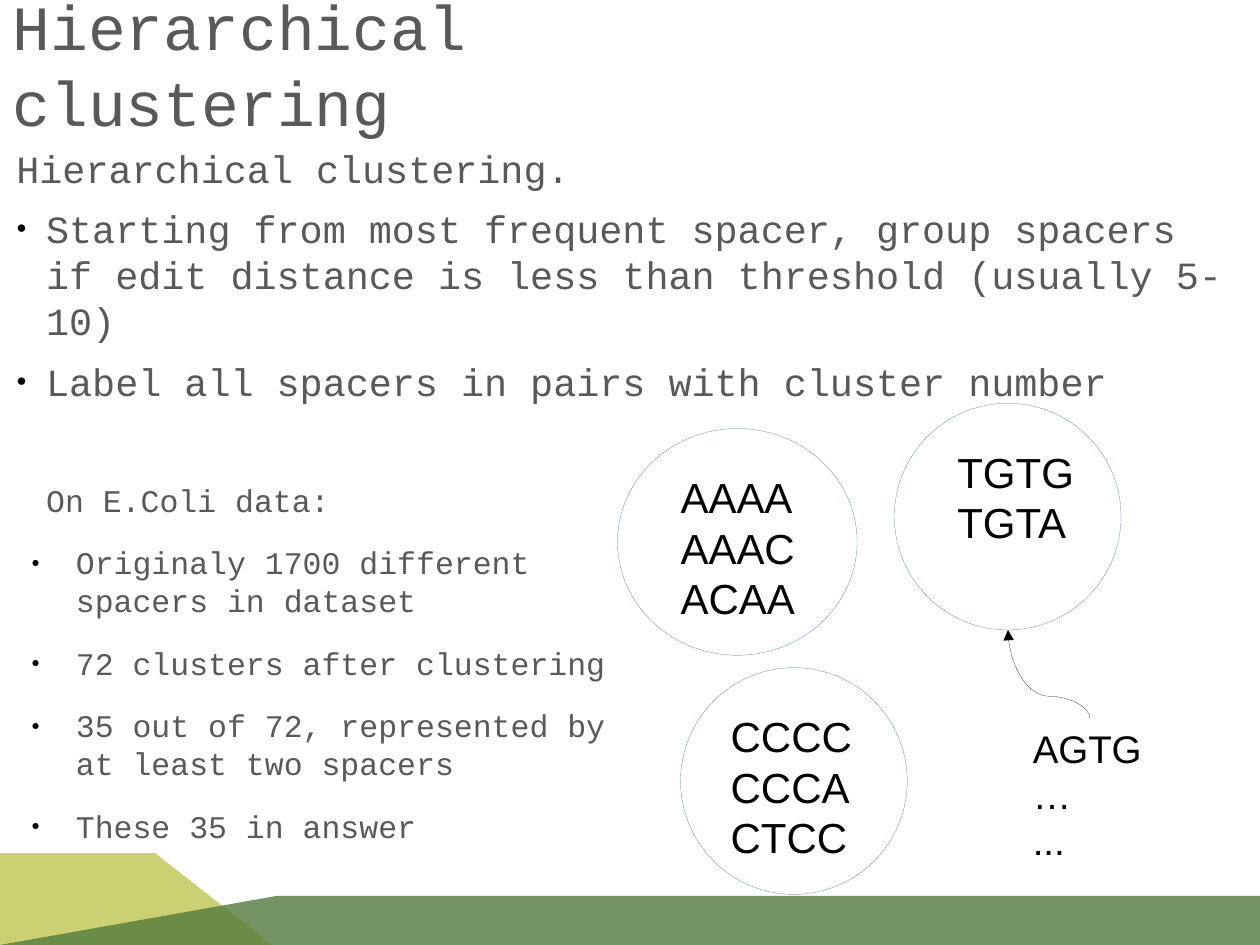
from lxml import etree
from pptx import Presentation
from pptx.dml.color import RGBColor as RGB
from pptx.enum.shapes import MSO_CONNECTOR as Link, MSO_SHAPE as Shape
from pptx.enum.text import MSO_ANCHOR as Anchor, MSO_AUTO_SIZE as Fit, PP_ALIGN as Align
from pptx.oxml.ns import qn
from pptx.util import Cm, Pt

WHITE = RGB(0xFF, 0xFF, 0xFF)
BLACK = RGB(0x00, 0x00, 0x00)
GRAY = RGB(0x59, 0x59, 0x59)
BLUE = RGB(0x34, 0x65, 0xA4)
LIME = RGB(0xCB, 0xD1, 0x73)
GREEN = RGB(0x52, 0x7B, 0x3D)
MONO, SANS = "Courier New", "Arial"
HAIR = Pt(0.1)

BODY = [
    ("Hierarchical clustering.", 22, 8, 0, 0),
    ("Starting from most frequent spacer, group spacers "
     "if edit distance is less than threshold (usually 5-10)", 22, 8, 0.6, 0.6),
    ("Label all spacers in pairs with cluster number", 22, 8, 0.6, 0.6),
    ("On E.Coli data:", 18, 44, 0.6, 0),
    ("Originaly 1700 different\nspacers in dataset", 18, 14.2, 1.2, 0.9),
    ("72 clusters after clustering", 18, 14.2, 1.2, 0.9),
    ("35 out of 72, represented by\nat least two spacers", 18, 14.2, 1.2, 0.9),
    ("These 35 in answer", 18, 14.2, 1.2, 0.9),
]
GROUPS = [
    ((12.45, 8.64, 4.83, 4.57), 1.02, ["AAAA", "AAAC", "ACAA"]),
    ((13.72, 13.46, 4.57, 4.57), 0.76, ["CCCC", "CCCA", "CTCC"]),
    ((18.03, 8.13, 4.57, 4.57), 1.02, ["TGTG", "TGTA"]),
]


def place(shape, box):
    shape.left, shape.top, shape.width, shape.height = map(Cm, box)


def frame(shape, anchor=Anchor.TOP):
    text = shape.text_frame
    text.word_wrap = True
    text.auto_size = Fit.NONE
    text.vertical_anchor = anchor
    text.margin_left = text.margin_right = Cm(0.25)
    text.margin_top = text.margin_bottom = Cm(0.13)
    return text


def write(para, text, size, font, color):
    para.alignment = Align.LEFT
    para.line_spacing = 1.0
    for num, line in enumerate(text.split("\n")):
        if num:
            para.add_line_break()
        run = para.add_run()
        run.text = line
        run.font.size = Pt(size)
        run.font.name = font
        run.font.color.rgb = color


def rows(text, items):
    for num, item in enumerate(items):
        yield (text.add_paragraph() if num else text.paragraphs[0]), item


def bullet(para, left, hang):
    props = para._p.get_or_add_pPr()
    props.set("marL", str(Cm(left)))
    props.set("indent", str(-Cm(hang)))
    if not hang:
        etree.SubElement(props, qn("a:buNone"))
        return
    tint = etree.SubElement(props, qn("a:buClr"))
    etree.SubElement(tint, qn("a:srgbClr"), val=str(BLACK))
    etree.SubElement(props, qn("a:buSzPct"), val="45000")
    etree.SubElement(props, qn("a:buFont"), typeface=SANS)
    etree.SubElement(props, qn("a:buChar"), char="●")


def add_title(slide, box):
    title = slide.shapes.title
    place(title, box)
    text = frame(title, Anchor.MIDDLE)
    write(text.paragraphs[0], "Hierarchical clustering", 36, MONO, GRAY)


def add_body(slide, box):
    body = slide.placeholders[1]
    place(body, box)
    text = frame(body)
    for para, (line, size, gap, left, hang) in rows(text, BODY):
        write(para, line, size, MONO, GRAY)
        para.space_before = Pt(gap)
        bullet(para, left, hang)


def add_band(slide, box, points, color, alpha=100):
    left, top, width, height = box
    spots = [(Cm(left + x * width), Cm(top + y * height)) for x, y in points]
    build = slide.shapes.build_freeform(*spots[0])
    build.add_line_segments(spots[1:], close=True)
    band = build.convert_to_shape()
    band.shadow.inherit = False
    band.fill.solid()
    band.fill.fore_color.rgb = color
    band.line.fill.background()
    tint = band._element.spPr.find(qn("a:solidFill"))[0]
    etree.SubElement(tint, qn("a:alpha"), val=str(alpha * 1000))
    slide.shapes._spTree.insert(2, band._element)


def add_ground(slide, box):
    left, top, width, height = box
    add_band(slide, (left, top + 0.86, width, height - 0.86),
             [(0, 1), (0.22, 0), (1, 0), (1, 1)], GREEN, 80)
    add_band(slide, (left, top, 5.49, height),
             [(0, 1), (0, 0), (0.57, 0), (1, 1)], LIME)


def add_words(slide, box, words, size):
    note = slide.shapes.add_textbox(*map(Cm, box))
    text = frame(note)
    for para, word in rows(text, words):
        write(para, word, size, SANS, BLACK)


def add_ring(slide, box):
    ring = slide.shapes.add_shape(Shape.OVAL, *map(Cm, box))
    ring.shadow.inherit = False
    ring.fill.solid()
    ring.fill.fore_color.rgb = WHITE
    ring.line.color.rgb = BLUE
    ring.line.width = HAIR


def add_groups(slide):
    for box, _, _ in GROUPS:
        add_ring(slide, box)
    for (left, top, _, _), shift, words in GROUPS:
        add_words(slide, (left + shift, top + 0.74, 3.3, 3.07), words, 24)


def add_arrow(slide, box):
    left, top, width, height = box
    link = slide.shapes.add_connector(Link.CURVE, 0, 0, Cm(1), Cm(1))
    place(link, (left + (width - height) / 2, top + (height - width) / 2,
                 height, width))
    link.line.color.rgb = BLACK
    link.line.width = HAIR
    props = link._element.spPr
    turn = props.find(qn("a:xfrm"))
    turn.set("rot", "16200000")
    turn.set("flipV", "1")
    bend = props.find(qn("a:prstGeom")).find(qn("a:avLst"))
    etree.SubElement(bend, qn("a:gd"), name="adj1", fmla="val 24900")
    etree.SubElement(props.find(qn("a:ln")), qn("a:tailEnd"), type="triangle")
    etree.SubElement(props, qn("a:effectLst"))


def main():
    deck = Presentation()
    deck.slide_width, deck.slide_height = Cm(25.4), Cm(19.05)
    slide = deck.slides.add_slide(deck.slide_layouts[1])
    add_ground(slide, (0, 17.2, 25.4, 1.85))
    add_title(slide, (0, 0.51, 16, 1.52))
    add_body(slide, (0.08, 2.79, 24.82, 13.72))
    add_groups(slide)
    add_words(slide, (20.57, 14.48, 2.79, 2.84), ["AGTG", "…", "..."], 22)
    add_arrow(slide, (20.32, 12.7, 1.65, 1.78))
    deck.save("out.pptx")


if __name__ == "__main__":
    main()
